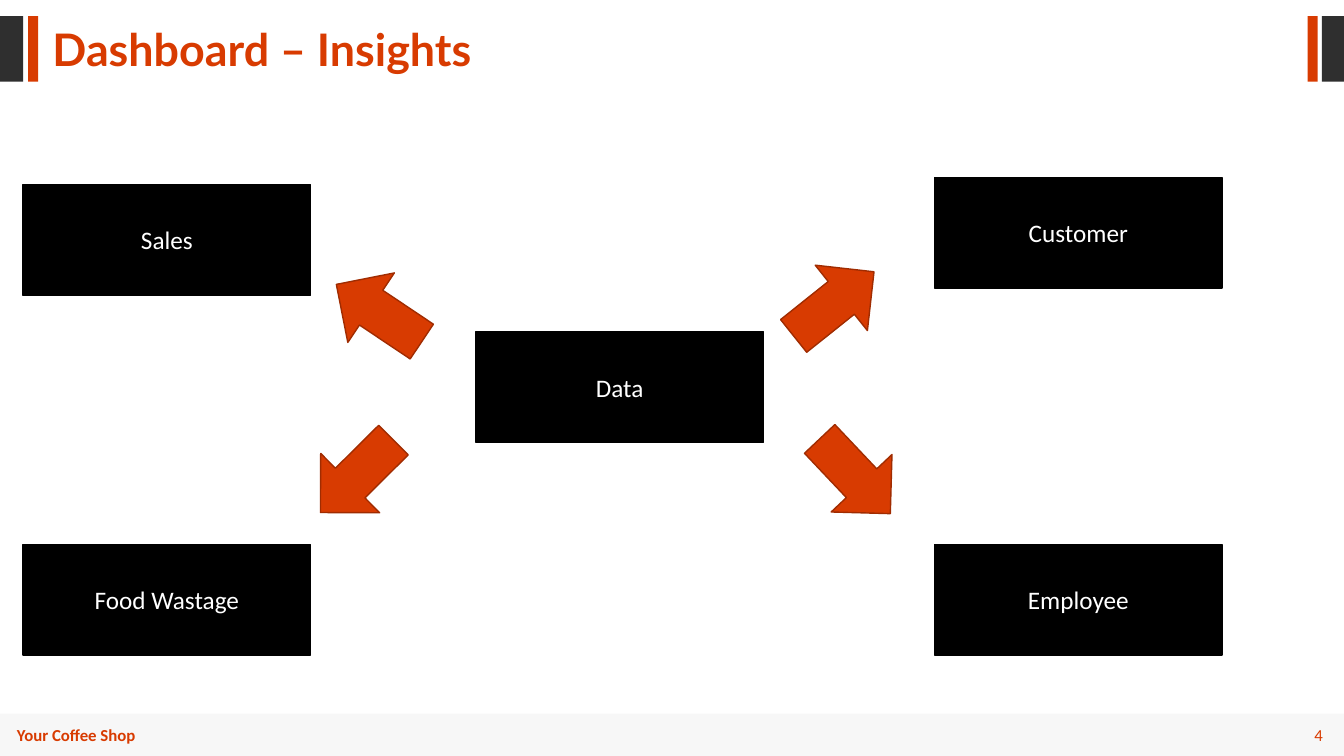
"""Build the dashboard insights slide: a data box with arrows to four topics."""
from dataclasses import dataclass

from lxml import etree
from pptx import Presentation
from pptx.dml.color import RGBColor
from pptx.enum.shapes import MSO_SHAPE
from pptx.enum.text import MSO_ANCHOR, PP_ALIGN
from pptx.oxml.ns import qn
from pptx.util import Emu, Pt

RECT, ARROW = MSO_SHAPE.RECTANGLE, MSO_SHAPE.RIGHT_ARROW
TOP, MIDDLE = MSO_ANCHOR.TOP, MSO_ANCHOR.MIDDLE
LEFT, CENTER, RIGHT = PP_ALIGN.LEFT, PP_ALIGN.CENTER, PP_ALIGN.RIGHT
EMU_PER_PX = 9144
SLIDE_W, SLIDE_H = 1333, 750
BOX_W, BOX_H = 285, 110
ARROW_W, ARROW_H = 102, 83
BAR_TOP, BAR_H = 16, 65
TITLE_LAYOUT = 5
COLORS = {
    "accent": "D83B01",
    "accent_dark": "A02C01",
    "charcoal": "2F2F2F",
    "footer": "E6E6E6",
    "black": "000000",
    "white": "FFFFFF",
}


@dataclass(frozen=True)
class Bar:
    """A vertical bar beside the title."""
    x: int
    w: int
    color: str


@dataclass(frozen=True)
class Box:
    """A labelled topic box."""
    text: str
    x: int
    y: int


@dataclass(frozen=True)
class Arrow:
    """A rotated block arrow."""
    x: int
    y: int
    angle: float


BARS = [
    Bar(0, 23, "charcoal"),
    Bar(28, 10, "accent"),
    Bar(1297, 10, "accent"),
    Bar(1311, 22, "charcoal"),
]
BOXES = [
    Box("Data", 472, 329),
    Box("Sales", 23, 183),
    Box("Food Wastage", 23, 540),
    Box("Customer", 927, 176),
    Box("Employee", 927, 540),
]
ARROWS = [
    Arrow(303, 431, 135.2),
    Arrow(776, 260, 321.4),
    Arrow(797, 431, 46.6),
    Arrow(325, 269, 213.8),
]


def px(n):
    """Convert px to EMU."""
    return Emu(n * EMU_PER_PX)


def rgb(name):
    """Look up a named colour."""
    return RGBColor.from_string(COLORS[name])


def write_text(tf, text, *, size, color, font="Calibri", bold=False,
               align=LEFT, anchor=TOP, spacing=None):
    """Write one formatted paragraph into a text frame."""
    tf.word_wrap = True
    tf.vertical_anchor = anchor
    p = tf.paragraphs[0]
    p.alignment = align
    p.line_spacing = spacing
    r = p.add_run()
    r.text = text
    r.font.name = font
    r.font.size = Pt(size)
    r.font.bold = bold
    r.font.color.rgb = rgb(color)


def add_block(s, kind, x, y, w, h, fill, line=None):
    """Add a filled preset shape without a shadow."""
    sp = s.shapes.add_shape(kind, px(x), px(y), px(w), px(h))
    sp.shadow.inherit = False
    sp.fill.solid()
    sp.fill.fore_color.rgb = rgb(fill)
    if line:
        sp.line.color.rgb = rgb(line)
        sp.line.width = Pt(1)
    else:
        sp.line.fill.background()
    return sp


def add_label(s, text, x, y, w, h, **fmt):
    """Add a text box."""
    sp = s.shapes.add_textbox(px(x), px(y), px(w), px(h))
    write_text(sp.text_frame, text, **fmt)


def add_title(s, text):
    """Place and format the title placeholder."""
    sp = s.shapes.title
    sp.left, sp.top, sp.width, sp.height = px(42), px(27), px(871), px(53)
    write_text(sp.text_frame, text, size=32, color="accent", font="Lato",
               bold=True, spacing=0.8)


def add_footer(s):
    """Add the translucent footer band with its two labels."""
    band = add_block(s, RECT, 0, 708, SLIDE_W, 42, "footer")
    color = band.fill._xPr.find(qn("a:solidFill"))[0]
    etree.SubElement(color, qn("a:alpha"), val="30000")
    add_label(s, "4", 1235, 714, 87, 30, size=12, color="accent",
              align=RIGHT, anchor=MIDDLE)
    add_label(s, "Your Coffee Shop", 7, 714, 184, 30, size=12,
              color="accent", bold=True)


def add_box(s, box: Box):
    """Draw a topic box."""
    sp = add_block(s, RECT, box.x, box.y, BOX_W, BOX_H, "black", "black")
    write_text(sp.text_frame, box.text, size=18, color="white",
               align=CENTER, anchor=MIDDLE)


def add_arrow(s, arrow: Arrow):
    """Draw a rotated block arrow."""
    sp = add_block(s, ARROW, arrow.x, arrow.y, ARROW_W, ARROW_H,
                   "accent", "accent_dark")
    sp.rotation = arrow.angle


def main():
    """Build and save the slide."""
    prs = Presentation()
    prs.slide_width, prs.slide_height = px(SLIDE_W), px(SLIDE_H)
    s = prs.slides.add_slide(prs.slide_layouts[TITLE_LAYOUT])
    add_footer(s)
    add_title(s, "Dashboard – Insights")
    for bar in BARS:
        add_block(s, RECT, bar.x, BAR_TOP, bar.w, BAR_H, bar.color)
    for box in BOXES:
        add_box(s, box)
    for arrow in ARROWS:
        add_arrow(s, arrow)
    prs.save("out.pptx")


if __name__ == "__main__":
    main()
